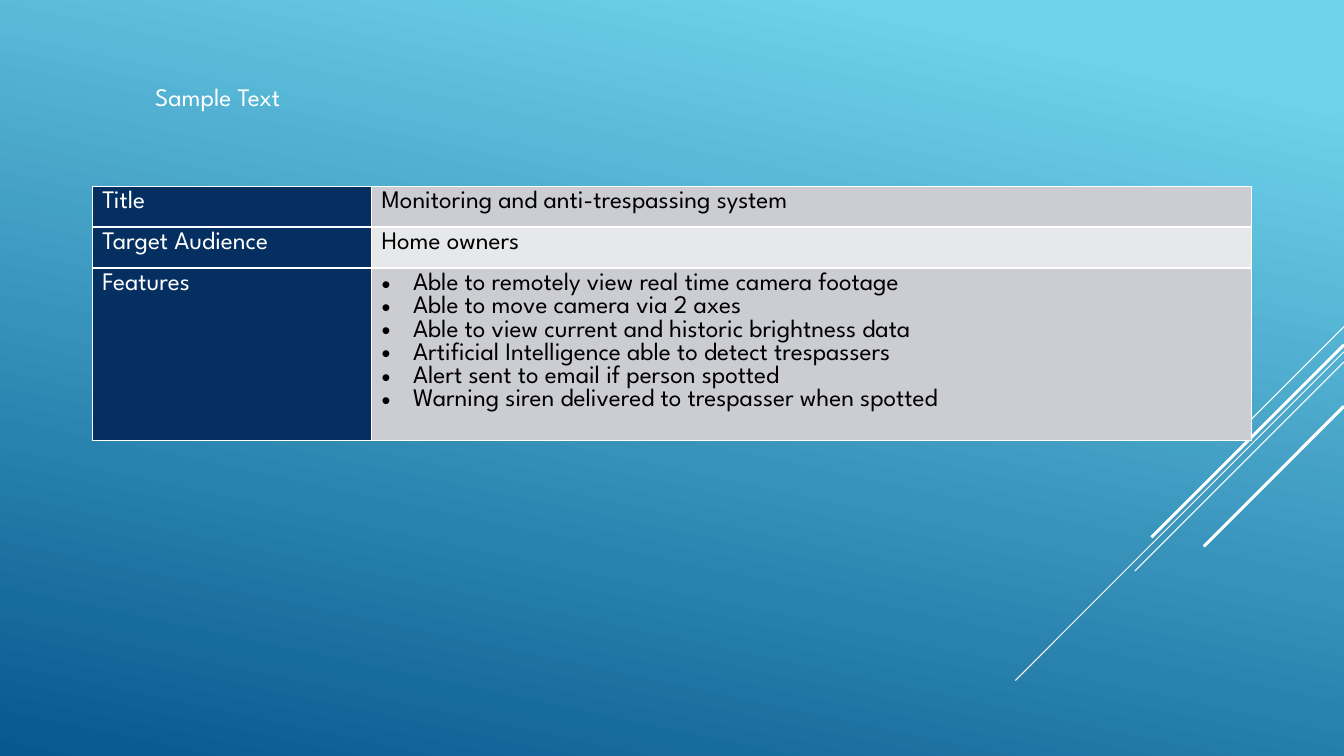
from lxml import etree
from pptx import Presentation
from pptx.dml.color import RGBColor
from pptx.enum.shapes import MSO_CONNECTOR
from pptx.enum.text import MSO_ANCHOR, MSO_AUTO_SIZE, PP_ALIGN
from pptx.oxml.ns import qn
from pptx.util import Pt

LINE = MSO_CONNECTOR.STRAIGHT
TOP = MSO_ANCHOR.TOP
FIXED = MSO_AUTO_SIZE.NONE
LEFT = PP_ALIGN.LEFT
FONT = "League Spartan"
HUES = {
    "white": "FFFFFF",
    "black": "000000",
    "navy": "052F61",
    "gray": "CCCDD2",
    "pale": "E7E8EA",
    "sky": "6ED2EB",
    "deep": "06588E",
}
ROWS = [
    ("Title", ["Monitoring and anti-trespassing system"], 29.2),
    ("Target Audience", ["Home owners"], 29.2),
    ("Features", [
        "Able to remotely view real time camera footage",
        "Able to move camera via 2 axes",
        "Able to view current and historic brightness data",
        "Artificial Intelligence able to detect trespassers",
        "Alert sent to email if person spotted",
        "Warning siren delivered to trespasser when spotted",
    ], 123),
]
RAYS = [
    (0, 72, 0.75),
    (18, 234.7, 0.75),
    (25.2, 149.4, 0.75),
    (13, 137.5, 2.25),
    (56.9, 100.1, 2.25),
]


def color(name):
    return RGBColor.from_string(HUES[name])


def write(para, text, hue):
    run = para.add_run()
    run.text = text
    run.font.name = FONT
    run.font.size = Pt(18)
    run.font.color.rgb = color(hue)


def paint(slide):
    fill = slide.background.fill
    fill.gradient()
    fill.gradient_angle = 258
    for stop, hue, pos in zip(fill.gradient_stops, ("sky", "deep"), (0.1, 1)):
        stop.color.rgb = color(hue)
        stop.position = pos


def draw_rays(slide, right, top):
    for drop, span, width in RAYS:
        start = top + drop
        ray = slide.shapes.add_connector(
            LINE, Pt(right), Pt(start), Pt(right - span), Pt(start + span))
        ray.line.color.rgb = color("white")
        ray.line.width = Pt(width)
        etree.SubElement(ray._element.spPr, qn("a:effectLst"))


def add_title(slide, left, top, width, height):
    title = slide.shapes.title
    title.left, title.top = Pt(left), Pt(top)
    title.width, title.height = Pt(width), Pt(height)
    frame = title.text_frame
    frame.auto_size = FIXED
    frame.word_wrap = True
    frame.vertical_anchor = TOP
    para = frame.paragraphs[0]
    para.alignment = LEFT
    write(para, "Sample Text", "white")


def edge(cell):
    props = cell._tc.get_or_add_tcPr()
    for spot, side in enumerate("LRTB"):
        line = etree.Element(qn("a:ln" + side), w=str(Pt(1)))
        fill = etree.SubElement(line, qn("a:solidFill"))
        etree.SubElement(fill, qn("a:srgbClr"), val=HUES["white"])
        props.insert(spot, line)


def bullet(para):
    props = para._p.get_or_add_pPr()
    props.set("marL", str(Pt(22.5)))
    props.set("indent", str(Pt(-22.5)))
    etree.SubElement(props, qn("a:buFont"), typeface="Arial")
    etree.SubElement(props, qn("a:buChar"), char="•")


def fill_cell(cell, texts, hue, back):
    cell.fill.solid()
    cell.fill.fore_color.rgb = color(back)
    edge(cell)
    frame = cell.text_frame
    for num, text in enumerate(texts):
        para = frame.add_paragraph() if num else frame.paragraphs[0]
        if len(texts) > 1:
            bullet(para)
        write(para, text, hue)


def add_facts(slide, left, top, width):
    height = sum(row[2] for row in ROWS)
    table = slide.shapes.add_table(
        len(ROWS), 2, Pt(left), Pt(top), Pt(width), Pt(height)).table
    label = 199.4
    table.columns[0].width = Pt(label)
    table.columns[1].width = Pt(width - label)
    for num, (name, texts, tall) in enumerate(ROWS):
        table.rows[num].height = Pt(tall)
        fill_cell(table.cell(num, 0), [name], "white", "navy")
        back = "pale" if num % 2 else "gray"
        fill_cell(table.cell(num, 1), texts, "black", back)


def build():
    deck = Presentation()
    deck.slide_width, deck.slide_height = Pt(960), Pt(540)
    slide = deck.slides.add_slide(deck.slide_layouts[5])
    paint(slide)
    draw_rays(slide, 960, 233.3)
    add_facts(slide, 66, 133, 828)
    add_title(slide, 103.7, 54.7, 237.6, 29)
    deck.save("out.pptx")


build()
